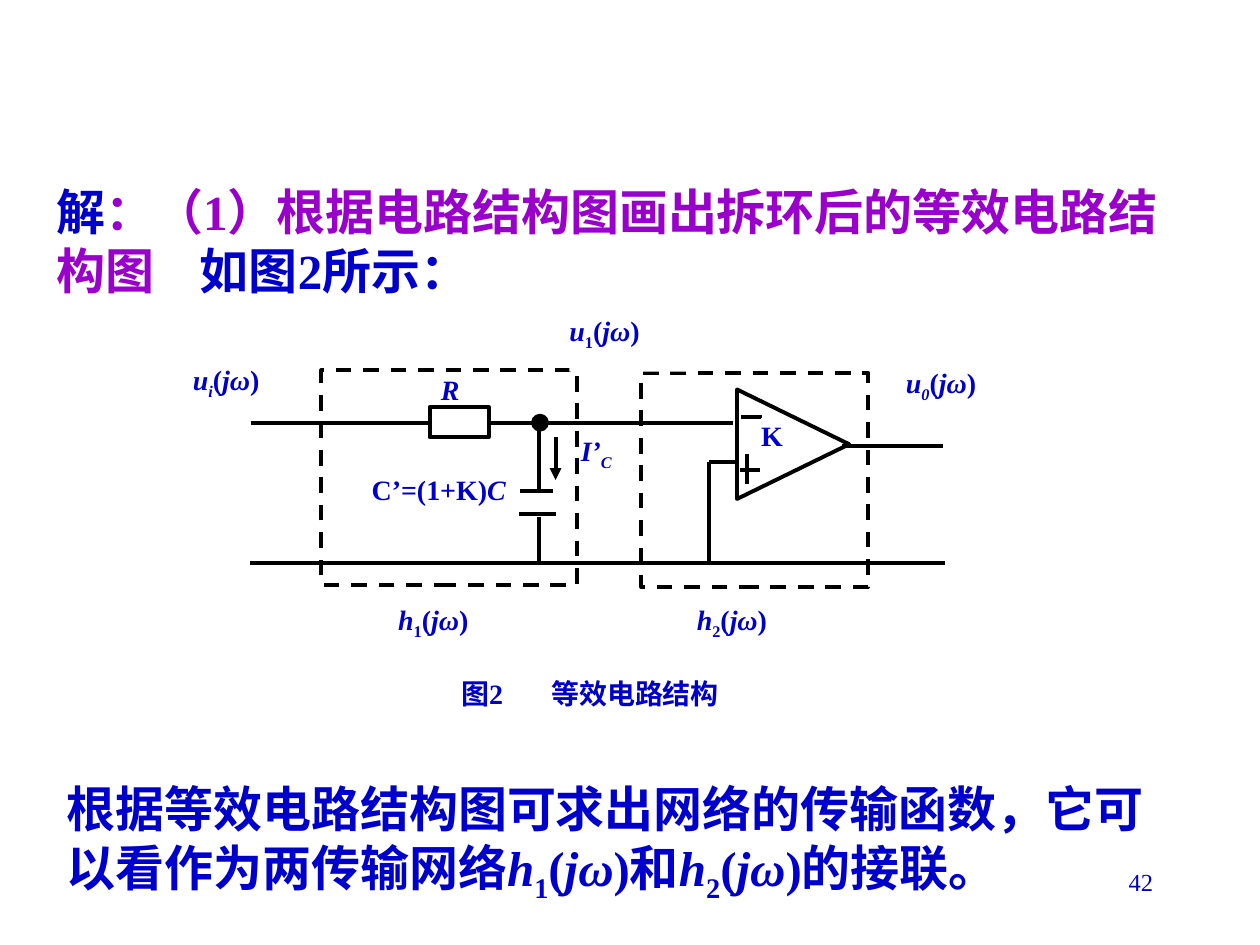
from lxml.etree import SubElement
from pptx import Presentation
from pptx.dml.color import RGBColor
from pptx.enum.dml import MSO_LINE
from pptx.enum.lang import MSO_LANGUAGE_ID
from pptx.enum.shapes import MSO_CONNECTOR, MSO_SHAPE
from pptx.enum.text import MSO_ANCHOR, PP_ALIGN
from pptx.oxml.ns import qn
from pptx.util import Pt

BLUE = RGBColor(0x00, 0x00, 0xCC)
PURPLE = RGBColor(0x99, 0x00, 0xCC)
BLACK = RGBColor(0x00, 0x00, 0x00)
WHITE = RGBColor(0xFF, 0xFF, 0xFF)
FACE = "Times New Roman"

TOP, MID, BASE = 241.9, 254.9, 321.8
NODE, LOOP = 308.2, 405.4

WIRES = [
    (143.3, TOP, 419, TOP),
    (LOOP, 264.2, 419.8, 264.2),
    (481, MID, 538.6, MID),
    (142.6, BASE, 540, BASE),
    (NODE, 295.2, NODE, BASE),
    (296.6, 293.8, 317.5, 293.8),
    (NODE, 243.4, NODE, 279.4),
    (297.4, 280.8, 316.1, 280.8),
    (LOOP, 264.2, LOOP, BASE),
    (423.4, 238.3, 435.6, 238.3),
    (422.6, 268.6, 434.2, 268.6),
    (427, 259.2, 427, 276.5),
]


def term(name, sub, style="s"):
    return [(name, "i"), (sub, style), ("(", ""), ("jω", "i"), (")", "")]


LABELS = [
    (110.2, 207.4, 56.2, 31.7, term("u", "i", "is")),
    (517.7, 208.8, 68.4, 39.6, term("u", "0", "is")),
    (434.9, 239, 13.7, 26.6, [("K", "")]),
    (252, 213.1, 17.3, 16.6, [("R", "i")]),
    (212.4, 270, 78, 18.7, [("C’=(1+K)", ""), ("C", "i")]),
    (227.5, 344.2, 68.4, 31.7, term("h", "1")),
    (398.2, 344.2, 68.4, 31.7, term("h", "2")),
    (325.4, 179.3, 68.4, 33.1, term("u", "1")),
    (331.9, 247.7, 23.8, 21.6, [("I’", "i"), ("C", "is")]),
]


def add_run(para, text, style="", size=16, color=BLUE, bold=True):
    run = para.add_run()
    run.text = text
    font = run.font
    font.name, font.size, font.bold = FACE, Pt(size), bold
    font.italic = "i" in style
    font.color.rgb = color
    if any(char >= "一" for char in text):
        font.language_id = MSO_LANGUAGE_ID.SIMPLIFIED_CHINESE
    if "s" in style:
        run._r.get_or_add_rPr().set("baseline", "-25000")


def add_tab(para, pos):
    stops = SubElement(para._p.get_or_add_pPr(), qn("a:tabLst"))
    SubElement(stops, qn("a:tab"), pos=str(Pt(pos)), algn="l")


def set_frame(shape, side=7.2, edge=3.6, anchor=MSO_ANCHOR.TOP):
    frame = shape.text_frame
    frame.word_wrap = True
    frame.vertical_anchor = anchor
    frame.margin_left = frame.margin_right = Pt(side)
    frame.margin_top = frame.margin_bottom = Pt(edge)
    para = frame.paragraphs[0]
    para.alignment = PP_ALIGN.LEFT
    return para


def add_text(slide, x, y, w, h, anchor=MSO_ANCHOR.TOP):
    box = slide.shapes.add_textbox(Pt(x), Pt(y), Pt(w), Pt(h))
    return set_frame(box, anchor=anchor)


def add_shape(slide, kind, x, y, w, h, fill=WHITE, line=BLACK):
    shape = slide.shapes.add_shape(kind, Pt(x), Pt(y), Pt(w), Pt(h))
    shape.shadow.inherit = False
    shape.fill.solid()
    shape.fill.fore_color.rgb = fill
    if line is None:
        shape.line.fill.background()
    else:
        shape.line.color.rgb = line
        shape.line.width = Pt(2.25)
    return shape


def add_stage(slide, x, y, w, h):
    stage = add_shape(slide, MSO_SHAPE.RECTANGLE, x, y, w, h)
    stage.line.dash_style = MSO_LINE.DASH


def add_wire(slide, x1, y1, x2, y2, arrow=False):
    wire = slide.shapes.add_connector(
        MSO_CONNECTOR.STRAIGHT, Pt(x1), Pt(y1), Pt(x2), Pt(y2))
    wire.line.color.rgb = BLACK
    wire.line.width = Pt(2.25)
    if arrow:
        SubElement(wire.line._get_or_add_ln(), qn("a:tailEnd"), type="triangle")
    SubElement(wire._element.spPr, qn("a:effectLst"))


def add_label(slide, x, y, w, h, runs):
    box = add_shape(slide, MSO_SHAPE.RECTANGLE, x, y, w, h, line=None)
    para = set_frame(box, 0, 0)
    for text, style in runs:
        add_run(para, text, style)


def add_title(slide):
    para = add_text(slide, 25.2, 100.1, 657.4, 74.9)
    add_tab(para, 82)
    add_run(para, "解", size=28)
    add_run(para, "：（1）根据电路结构图画出拆环后的等效电路结构图",
            size=28, color=PURPLE)
    add_run(para, "\t如图2所示：", size=28)


def add_circuit(slide):
    add_stage(slide, 366.5, 213.1, 129.6, 122.4)
    add_stage(slide, 183.6, 211.7, 146.2, 122.4)
    amp = add_shape(slide, MSO_SHAPE.FLOWCHART_MERGE, 421.9, 221.8, 62.6, 64.1)
    amp.rotation = 270
    for wire in WIRES:
        add_wire(slide, *wire)
    add_wire(slide, 317.5, 249.8, 317.5, 274.3, arrow=True)
    add_shape(slide, MSO_SHAPE.RECTANGLE, 245.5, 232.6, 33.8, 17.3)
    add_shape(slide, MSO_SHAPE.OVAL, 304.6, 237.6, 7.9, 7.9, fill=BLACK)
    for label in LABELS:
        add_label(slide, *label)


def add_caption(slide):
    box = add_shape(slide, MSO_SHAPE.RECTANGLE, 237.6, 383, 199.4, 26.6, line=None)
    para = set_frame(box)
    box.text_frame.margin_left = Pt(26)
    add_tab(para, 51.5)
    add_run(para, "图2\t等效电路结构")


def add_body(slide):
    para = add_text(slide, 31, 441.4, 646.6, 79.2, MSO_ANCHOR.MIDDLE)
    runs = [("根据等效电路结构图可求出网络的传输函数，它可以看作为两传输网络", ""),
            *term("h", "1"), ("和", ""), *term("h", "2"), ("的接联。", "")]
    for text, style in runs:
        add_run(para, text, style, size=28)


def add_page(slide):
    para = add_text(slide, 516.2, 491.8, 149.8, 36)
    para.alignment = PP_ALIGN.RIGHT
    add_run(para, "42", size=14, bold=False)


def main():
    deck = Presentation()
    deck.slide_width, deck.slide_height = Pt(720), Pt(540)
    slide = deck.slides.add_slide(deck.slide_layouts[6])
    add_page(slide)
    add_title(slide)
    add_circuit(slide)
    add_caption(slide)
    add_body(slide)
    deck.save("out.pptx")


if __name__ == "__main__":
    main()
